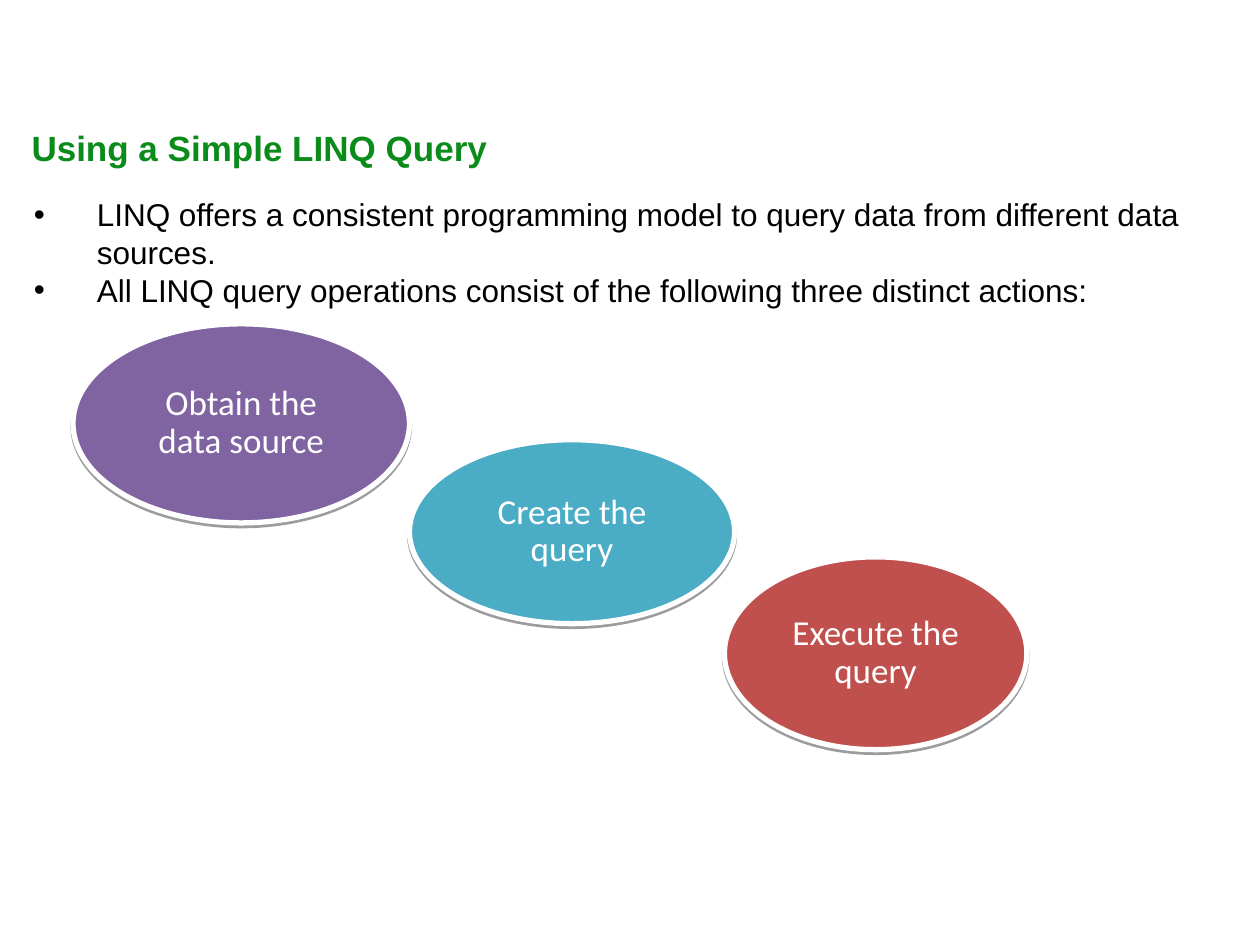
from lxml.etree import SubElement
from pptx import Presentation
from pptx.dml.color import RGBColor
from pptx.enum.shapes import MSO_SHAPE
from pptx.enum.text import MSO_ANCHOR, MSO_AUTO_SIZE, PP_ALIGN
from pptx.oxml import parse_xml
from pptx.oxml.ns import nsdecls, qn
from pptx.util import Inches, Pt

ACTIONS = [
    ("Obtain the data source", "8064A2", (0.58, 2.57, 2.67, 1.58)),
    ("Create the query", "4BACC6", (3.25, 3.49, 2.58, 1.46)),
    ("Execute the query", "C0504D", (5.75, 4.42, 2.4, 1.53)),
]
POINTS = [
    "LINQ offers a consistent programming model to query data from different data sources.",
    "All LINQ query operations consist of the following three distinct actions:",
]


def color(hex_value):
    """Turn a hex string into a colour."""
    return RGBColor.from_string(hex_value)


def style(paragraph, size, face, hex_value, bold=False):
    """Format every run of a paragraph."""
    for run in paragraph.runs:
        run.font.size = Pt(size)
        run.font.name = face
        run.font.bold = bold
        run.font.color.rgb = color(hex_value)


def shadow_effect(distance, opacity):
    """Make a sharp black shadow that falls straight down."""
    return parse_xml(
        f'<a:effectLst {nsdecls("a")}><a:outerShdw blurRad="0" dist="{Pt(distance)}" '
        f'dir="5400000" algn="ctr" rotWithShape="0"><a:srgbClr val="000000">'
        f'<a:alpha val="{opacity * 1000}"/></a:srgbClr></a:outerShdw></a:effectLst>'
    )


def add_heading(slide, text):
    """Place the green heading in the title placeholder."""
    heading = slide.shapes.title
    heading.left, heading.top = Inches(0.15), Inches(0.95)
    heading.width, heading.height = Inches(3.82), Inches(0.44)
    frame = heading.text_frame
    frame.text = text
    frame.word_wrap = False
    frame.auto_size = MSO_AUTO_SIZE.NONE
    frame.vertical_anchor = MSO_ANCHOR.TOP
    frame.paragraphs[0].alignment = PP_ALIGN.LEFT
    style(frame.paragraphs[0], 20, "Arial", "0B8B1A", bold=True)


def add_bullets(slide, points):
    """Add the bulleted introduction."""
    introduction = slide.shapes.add_textbox(
        Inches(0.17), Inches(1.5), Inches(9.5), Inches(4.42))
    frame = introduction.text_frame
    frame.word_wrap = True
    frame.text = "\n".join(points)
    for paragraph in frame.paragraphs:
        properties = paragraph._p.get_or_add_pPr()
        properties.set("marL", str(Inches(0.5)))
        properties.set("indent", str(-Inches(0.5)))
        SubElement(properties, qn("a:buFont"), typeface="Arial")
        SubElement(properties, qn("a:buChar"), char="•")
        style(paragraph, 18, "Arial", "000000")


def add_action(slide, text, fill, box):
    """Add one oval for a query action."""
    oval = slide.shapes.add_shape(
        MSO_SHAPE.FLOWCHART_CONNECTOR, *(Inches(length) for length in box))
    oval.fill.solid()
    oval.fill.fore_color.rgb = color(fill)
    oval.line.color.rgb = color("FFFFFF")
    oval.line.width = Pt(3)
    oval._element.spPr.append(shadow_effect(1.6, 38))
    frame = oval.text_frame
    frame.text = text
    frame.word_wrap = True
    frame.vertical_anchor = MSO_ANCHOR.MIDDLE
    frame.margin_left = frame.margin_right = Inches(0.08)
    frame.margin_top = frame.margin_bottom = Inches(0.08)
    label = frame.paragraphs[0]
    label.alignment = PP_ALIGN.CENTER
    label.line_spacing = 0.9
    label.space_after = Pt(8.8)
    style(label, 20, "Calibri", "FFFFFF")
    return label


def add_text_shadow(label):
    """Cast a shadow from the letters of a label."""
    for run in label.runs:
        fill = run.font._element.find(qn("a:solidFill"))
        fill.addnext(shadow_effect(1.6, 38))


def main():
    """Build the slide and save it."""
    presentation = Presentation()
    presentation.slide_width, presentation.slide_height = Inches(10), Inches(7.5)
    slide = presentation.slides.add_slide(presentation.slide_layouts[5])
    add_bullets(slide, POINTS)
    add_heading(slide, "Using a Simple LINQ Query")
    labels = [add_action(slide, *action) for action in ACTIONS]
    add_text_shadow(labels[-1])
    presentation.save("out.pptx")


if __name__ == "__main__":
    main()
